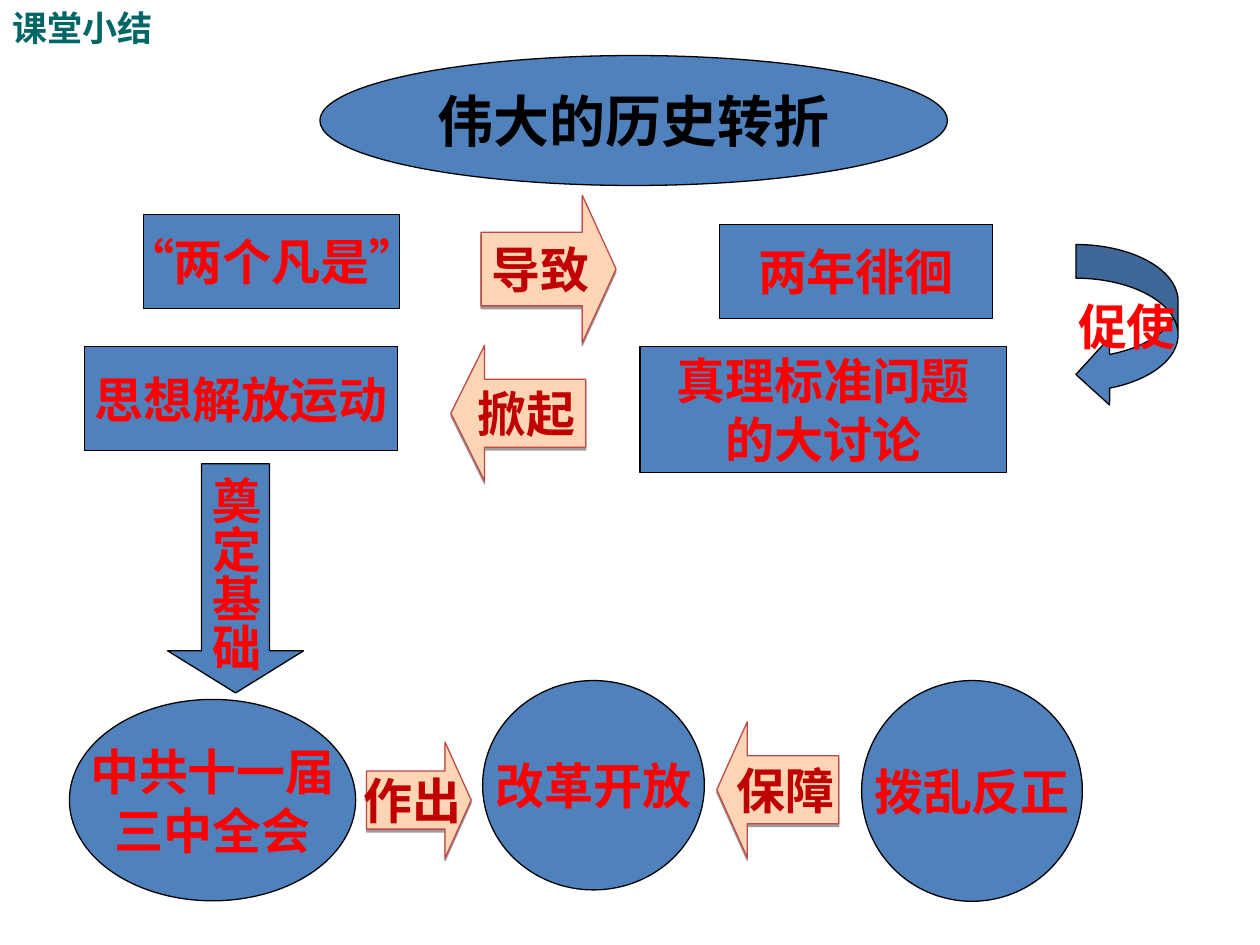
from dataclasses import dataclass

from lxml import etree
from pptx import Presentation
from pptx.dml.color import RGBColor
from pptx.enum.shapes import MSO_SHAPE
from pptx.enum.text import MSO_ANCHOR, MSO_AUTO_SIZE, PP_ALIGN
from pptx.oxml.ns import qn
from pptx.util import Cm, Pt

RECT = MSO_SHAPE.RECTANGLE
OVAL = MSO_SHAPE.OVAL
RIGHT = MSO_SHAPE.RIGHT_ARROW
LEFT = MSO_SHAPE.LEFT_ARROW
DOWN = MSO_SHAPE.DOWN_ARROW
CURVED = MSO_SHAPE.CURVED_LEFT_ARROW
MIDDLE = MSO_ANCHOR.MIDDLE
CENTER = PP_ALIGN.CENTER
GROW = MSO_AUTO_SIZE.SHAPE_TO_FIT_TEXT
CJK_FONT = "Noto Sans CJK SC"


@dataclass(frozen=True)
class Style:
    fill: str
    line: str
    ink: str
    size: int = 28
    shadow: bool = False


EVENT = Style("4F81BD", "000000", "FF0000")
TITLE = Style("4F81BD", "000000", "000000", size=32)
LINK = Style("FCD5B5", "BE4B48", "C00000", shadow=True)


@dataclass(frozen=True)
class Node:
    kind: MSO_SHAPE
    lines: tuple[str, ...]
    left: float
    top: float
    width: float
    height: float
    style: Style = EVENT
    adjustments: tuple[float, ...] = ()
    vertical: bool = False


NODES = (
    Node(RECT, ("两年徘徊",), 14.5, 4.52, 5.51, 1.9),
    Node(OVAL, ("中共十一届", "三中全会"), 1.4, 14.1, 5.77, 4.06),
    Node(RECT, ("思想解放运动",), 1.7, 6.98, 6.32, 2.11),
    Node(RECT, ("“两个凡是”",), 2.9, 4.32, 5.16, 1.9),
    Node(RIGHT, ("导致",), 9.7, 3.94, 2.72, 2.97, LINK, (0.5, 0.25)),
    Node(CURVED, ("促使",), 21.69, 4.93, 2.06, 3.3, EVENT, (0.33, 0.66, 0.33)),
    Node(RECT, ("真理标准问题", "的大讨论"), 12.9, 6.98, 7.39, 2.54),
    Node(LEFT, ("掀起",), 9.09, 6.96, 2.72, 2.74, LINK, (0.5, 0.25)),
    Node(DOWN, ("奠定基础",), 3.38, 9.35, 2.74, 4.62, EVENT, (0.5, 0.31), True),
    Node(OVAL, ("改革开放",), 9.73, 13.72, 4.47, 4.22),
    Node(OVAL, ("拨乱反正",), 17.37, 13.72, 4.45, 4.45),
    Node(LEFT, ("保障",), 14.45, 14.55, 2.46, 2.74, LINK, (0.5, 0.25)),
    Node(RIGHT, ("作出",), 7.39, 14.96, 2.11, 2.34, LINK, (0.5, 0.25)),
    Node(OVAL, ("伟大的历史转折",), 6.45, 1.12, 12.65, 2.62, TITLE),
)


def color(value: str) -> RGBColor:
    return RGBColor.from_string(value)


def add_span(para, text: str, size: int, ink: str, font: str) -> None:
    span = para.add_run()
    span.text = text
    span.font.size = Pt(size)
    span.font.bold = True
    span.font.name = font
    span.font.color.rgb = color(ink)
    east_asian = etree.Element(qn("a:ea"), typeface=CJK_FONT)
    span.font._element.find(qn("a:latin")).addnext(east_asian)


def add_shadow(shape) -> None:
    effects = shape._element.spPr.find(qn("a:effectLst"))
    shadow = etree.SubElement(effects, qn("a:outerShdw"), blurRad="0",
                              dist=str(Pt(1.6)), dir="5400000", rotWithShape="0")
    black = etree.SubElement(shadow, qn("a:srgbClr"), val="000000")
    etree.SubElement(black, qn("a:alpha"), val="38000")


def add_node(page, node: Node) -> None:
    shape = page.shapes.add_shape(node.kind, Cm(node.left), Cm(node.top),
                                  Cm(node.width), Cm(node.height))
    for index, value in enumerate(node.adjustments):
        shape.adjustments[index] = value
    style = node.style
    shape.fill.solid()
    shape.fill.fore_color.rgb = color(style.fill)
    shape.line.color.rgb = color(style.line)
    shape.line.width = Pt(0.75)
    shape.shadow.inherit = False
    if style.shadow:
        add_shadow(shape)

    frame = shape.text_frame
    frame.word_wrap = False
    frame.vertical_anchor = MIDDLE
    if node.vertical:
        frame._txBody.bodyPr.set("vert", "eaVert")
        frame.margin_left = frame.margin_right = Cm(0.13)
        frame.margin_top = frame.margin_bottom = Cm(0.25)
    for index, line in enumerate(node.lines):
        para = frame.add_paragraph() if index else frame.paragraphs[0]
        para.alignment = CENTER
        add_span(para, line, style.size, style.ink, CJK_FONT)


def add_heading(page, text: str) -> None:
    box = page.shapes.add_textbox(Cm(0), Cm(0), Cm(3.61), Cm(1.12))
    frame = box.text_frame
    frame.word_wrap = True
    frame.auto_size = GROW
    add_span(frame.paragraphs[0], text, 20, "006666", "Arial")


def main() -> None:
    """Build the lesson summary slide and save it."""
    deck = Presentation()
    deck.slide_width, deck.slide_height = Cm(25.4), Cm(19.05)
    page = deck.slides.add_slide(deck.slide_layouts[6])
    add_heading(page, "课堂小结")
    for node in NODES:
        add_node(page, node)
    deck.save("out.pptx")


if __name__ == "__main__":
    main()
